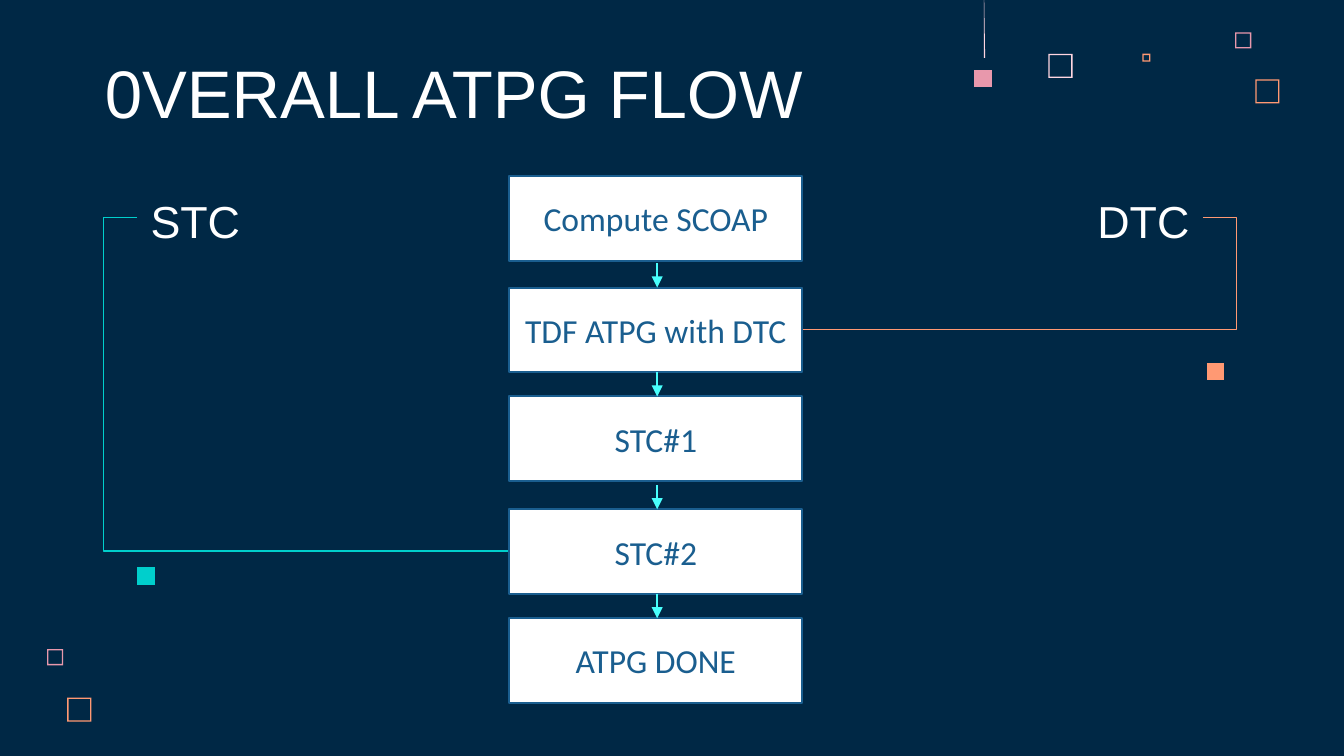
from lxml import etree
from pptx import Presentation
from pptx import util as u
from pptx.dml.color import RGBColor
from pptx.enum import shapes, text
from pptx.oxml.ns import qn

COLORS = {
    "navy": "002845", "white": "FFFFFF", "blue": "1A5E8F", "cyan": "49FFFC",
    "teal": "00CFCC", "orange": "FF9973", "pink": "E898AC", "blush": "FFD6E1",
}
STEP_LEFT, STEP_WIDTH, STEP_HEIGHT = 3.79, 2.18, 0.63
STEPS = [
    ("Compute SCOAP", 1.31),
    ("TDF ATPG with DTC", 2.14),
    ("STC#1", 2.95),
    ("STC#2", 3.79),
    ("ATPG DONE", 4.6),
]
ARROW_X, ARROW_LENGTH = 4.89, 0.18
FRAMES = [  # left, top, size, colour
    (7.8, 0.4, 0.18, "blush"),
    (9.19, 0.24, 0.12, "pink"),
    (8.5, 0.4, 0.06, "orange"),
    (9.34, 0.59, 0.18, "orange"),
    (0.35, 4.83, 0.12, "pink"),
    (0.5, 5.19, 0.18, "orange"),
]
SQUARES = [(7.25, 0.52, "pink"), (1.02, 4.22, "teal"), (8.98, 2.7, "orange")]


def rgb(name):
    return RGBColor.from_string(COLORS[name])


def fill_plain(shape, color):
    shape.shadow.inherit = False
    shape.fill.solid()
    shape.fill.fore_color.rgb = rgb(color)
    shape.line.fill.background()


def add_outline(slide, contours, color):
    """Draw closed contours, given as lists of points in inches, as one filled shape."""
    contours = [[(u.Inches(x), u.Inches(y)) for x, y in c] for c in contours]
    builder = slide.shapes.build_freeform(*contours[0][0])
    for number, contour in enumerate(contours):
        if number:
            builder.move_to(*contour[0])
        builder.add_line_segments(contour[1:], close=True)
    fill_plain(builder.convert_to_shape(), color)


def add_frame(slide, left, top, size, color, edge=0.01):
    right, bottom = left + size, top + size
    outer = [(left, top), (left, bottom), (right, bottom), (right, top)]
    inner = [(right - edge, top + edge), (right - edge, bottom - edge),
             (left + edge, bottom - edge), (left + edge, top + edge)]
    add_outline(slide, [outer, inner], color)


def add_square(slide, left, top, color, size=0.13):
    right, bottom = left + size, top + size
    corners = [(left, top), (left, bottom), (right, bottom), (right, top)]
    add_outline(slide, [corners], color)


def set_heading(placeholder, wording, box, size, align=text.PP_ALIGN.LEFT):
    (placeholder.left, placeholder.top,
     placeholder.width, placeholder.height) = map(u.Inches, box)
    frame = placeholder.text_frame
    frame.text = wording
    frame.word_wrap = True
    frame.auto_size = text.MSO_AUTO_SIZE.NONE
    frame.vertical_anchor = text.MSO_ANCHOR.BOTTOM
    frame.margin_left = frame.margin_right = u.Inches(0.1)
    frame.margin_top = frame.margin_bottom = u.Inches(0.1)
    heading = frame.paragraphs[0]
    heading.alignment = align
    heading.space_before = u.Pt(0)
    heading.font.name = "Arial"
    heading.font.size = u.Pt(size)
    heading.font.bold = False
    heading.font.color.rgb = rgb("white")


def add_step(slide, wording, top):
    step = slide.shapes.add_shape(
        shapes.MSO_SHAPE.RECTANGLE, u.Inches(STEP_LEFT), u.Inches(top),
        u.Inches(STEP_WIDTH), u.Inches(STEP_HEIGHT))
    fill_plain(step, "white")
    step.line.color.rgb = rgb("blue")
    step.line.width = u.Pt(1)
    frame = step.text_frame
    frame.text = wording
    frame.word_wrap = True
    frame.vertical_anchor = text.MSO_ANCHOR.MIDDLE
    label = frame.paragraphs[0]
    label.alignment = text.PP_ALIGN.CENTER
    label.font.name = "Calibri"
    label.font.size = u.Pt(18)
    label.font.color.rgb = rgb("blue")


def add_line(slide, kind, start, end, color):
    line = slide.shapes.add_connector(kind, *map(u.Inches, start + end))
    line.line.color.rgb = rgb(color)
    line.line.width = u.Pt(0.75)
    etree.SubElement(line._element.spPr, qn("a:effectLst"))
    return line


def add_arrow(slide, end_y):
    arrow = add_line(slide, shapes.MSO_CONNECTOR.STRAIGHT,
                     (ARROW_X, end_y - ARROW_LENGTH), (ARROW_X, end_y), "cyan")
    line_xml = arrow._element.spPr.find(qn("a:ln"))
    etree.SubElement(line_xml, qn("a:tailEnd"), type="triangle")


def add_bracket(slide, start, end, color, bend_x):
    """Join a heading to a step by way of an upright at bend_x."""
    bracket = add_line(slide, shapes.MSO_CONNECTOR.ELBOW, start, end, color)
    share = (bend_x - start[0]) / (end[0] - start[0])
    guides = bracket._element.spPr.find(qn("a:prstGeom")).get_or_add_avLst()
    etree.SubElement(guides, qn("a:gd"), name="adj1", fmla=f"val {round(share * 100000)}")


def main():
    deck = Presentation()
    deck.slide_width = u.Inches(10)
    deck.slide_height = deck.slide_width * 9 // 16
    slide = deck.slides.add_slide(deck.slide_layouts.get_by_name("Comparison"))
    slide.background.fill.solid()
    slide.background.fill.fore_color.rgb = rgb("navy")

    title, stc, stc_list, dtc, dtc_list = slide.placeholders
    for unused in (stc_list, dtc_list):
        unused._element.getparent().remove(unused._element)
    set_heading(title, "0VERALL ATPG FLOW", (0.68, 0.45, 6.73, 0.63), 36)
    set_heading(stc, "STC", (1.02, 1.31, 1.07, 0.63), 24)
    set_heading(dtc, "DTC", (7.71, 1.31, 1.24, 0.63), 24, text.PP_ALIGN.RIGHT)

    for frame in FRAMES:
        add_frame(slide, *frame)
    for square in SQUARES:
        add_square(slide, *square)
    add_outline(slide, [[(7.32, -0.18), (7.32, 0.43), (7.33, 0.43)]], "blush")

    add_bracket(slide, (1.02, 1.62), (STEP_LEFT, 4.1), "teal", 0.77)
    add_bracket(slide, (8.95, 1.62), (STEP_LEFT + STEP_WIDTH, 2.45), "orange", 9.2)
    for wording, top in STEPS:
        add_step(slide, wording, top)
    for _, top in STEPS[1:]:
        add_arrow(slide, top)

    deck.save("out.pptx")


if __name__ == "__main__":
    main()
